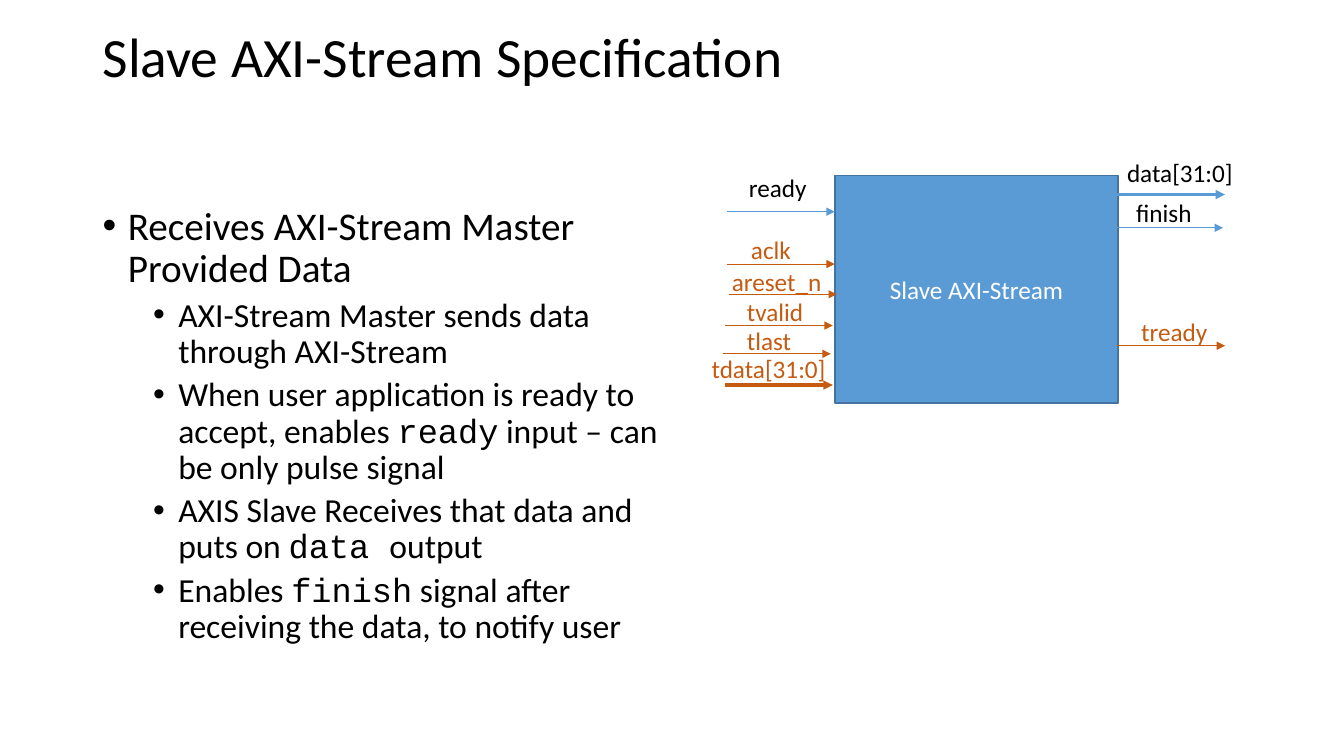
import lxml.etree
import pptx
import pptx.dml.color
import pptx.enum.shapes
import pptx.enum.text
import pptx.oxml.ns
import pptx.util

PX = 9144  # EMU per px, 100 px to the inch
THEME = {
    "font": "Calibri", "code": "Courier New",
    "black": "000000", "white": "FFFFFF",
    "block": "5B9BD5", "block_edge": "43739E", "bus": "C55A11",
    "title": 39.6, "bullet": 28, "sub_bullet": 24, "label": 18,
    "thin": 0.5, "thick": 2.25,
}
ARROW_LENGTH = 107
qn = pptx.oxml.ns.qn


def rgb(name):
    return pptx.dml.color.RGBColor.from_string(THEME[name])


def add_run(p, text, size, color, font="font"):
    r = p.add_run()
    r.text = text
    r.font.name = THEME[font]
    r.font.size = pptx.util.Pt(THEME[size])
    r.font.color.rgb = rgb(color)


prs = pptx.Presentation()
prs.slide_width, prs.slide_height = 1333 * PX, 750 * PX
s = prs.slides.add_slide(prs.slide_layouts[6])

# Title
sp = s.shapes.add_textbox(92 * PX, 27 * PX, 1150 * PX, 64 * PX)
tf = sp.text_frame
tf.word_wrap = True
tf.vertical_anchor = pptx.enum.text.MSO_ANCHOR.MIDDLE
p = tf.paragraphs[0]
p.line_spacing = 0.9
add_run(p, "Slave AXI-Stream Specification", "title", "black")

# Bullets: level, then runs of text and font
BULLETS = [
    (0, [("Receives AXI-Stream Master Provided Data", "font")]),
    (1, [("AXI-Stream Master sends data through AXI-Stream", "font")]),
    (1, [("When user application is ready to accept, enables ", "font"),
         ("ready", "code"),
         (" input – can be only pulse signal", "font")]),
    (1, [("AXIS Slave Receives that data and puts on ", "font"),
         ("data ", "code"), ("output", "font")]),
    (1, [("Enables ", "font"), ("finish", "code"),
         (" signal after receiving the data, to notify user", "font")]),
]
sp = s.shapes.add_textbox(92 * PX, 200 * PX, 584 * PX, 476 * PX)
tf = sp.text_frame
tf.word_wrap = True
for i, (level, runs) in enumerate(BULLETS):
    p = tf.add_paragraph() if i else tf.paragraphs[0]
    p.level = level
    p.line_spacing = 0.9
    p.space_before = pptx.util.Pt(5 if level else 10)
    pPr = p._p.get_or_add_pPr()
    pPr.set("marL", str((25 + 50 * level) * PX))
    pPr.set("indent", str(-25 * PX))
    lxml.etree.SubElement(pPr, qn("a:buFont"), typeface="Arial")
    lxml.etree.SubElement(pPr, qn("a:buChar"), char="•")
    for text, font in runs:
        add_run(p, text, "sub_bullet" if level else "bullet", "black", font)

# Block
sp = s.shapes.add_shape(pptx.enum.shapes.MSO_SHAPE.RECTANGLE,
                        828 * PX, 174 * PX, 281 * PX, 226 * PX)
sp.shadow.inherit = False
sp.fill.solid()
sp.fill.fore_color.rgb = rgb("block")
sp.line.color.rgb = rgb("block_edge")
sp.line.width = pptx.util.Pt(1)
tf = sp.text_frame
tf.vertical_anchor = pptx.enum.text.MSO_ANCHOR.MIDDLE
p = tf.paragraphs[0]
p.alignment = pptx.enum.text.PP_ALIGN.CENTER
add_run(p, "Slave AXI-Stream", "label", "white")

# Signals: name, arrow x and y, label x, y and width, line and text colour, weight
SIGNALS = [
    ("data[31:0]", 1108, 193, 1108, 151, 126, "block", "black", "thick"),
    ("ready", 721, 210, 733, 166, 78, "block", "black", "thin"),
    ("finish", 1106, 226, 1117, 191, 76, "block", "black", "thin"),
    ("tvalid", 719, 323, 731, 289, 77, "bus", "bus", "thin"),
    ("tready", 1108, 343, 1122, 309, 86, "bus", "bus", "thin"),
    ("tlast", 717, 351, 731, 318, 64, "bus", "bus", "thin"),
    ("tdata[31:0]", 719, 382, 696, 346, 134, "bus", "bus", "thick"),
    ("aclk", 721, 262, 735, 228, 60, "bus", "bus", "thin"),
    ("areset_n", 723, 292, 716, 259, 110, "bus", "bus", "thin"),
]
for name, x, y, label_x, label_y, width, line, color, weight in SIGNALS:
    arrow = s.shapes.add_connector(
        pptx.enum.shapes.MSO_CONNECTOR.STRAIGHT,
        x * PX, y * PX, (x + ARROW_LENGTH) * PX, y * PX)
    arrow.line.color.rgb = rgb(line)
    arrow.line.width = pptx.util.Pt(THEME[weight])
    lxml.etree.SubElement(arrow.line._get_or_add_ln(), qn("a:tailEnd"), type="triangle")
    lxml.etree.SubElement(arrow._element.spPr, qn("a:effectLst"))

    sp = s.shapes.add_textbox(label_x * PX, label_y * PX, width * PX, 40 * PX)
    tf = sp.text_frame
    tf.word_wrap = False
    tf.auto_size = pptx.enum.text.MSO_AUTO_SIZE.SHAPE_TO_FIT_TEXT
    add_run(tf.paragraphs[0], name, "label", color)

prs.save("out.pptx")
